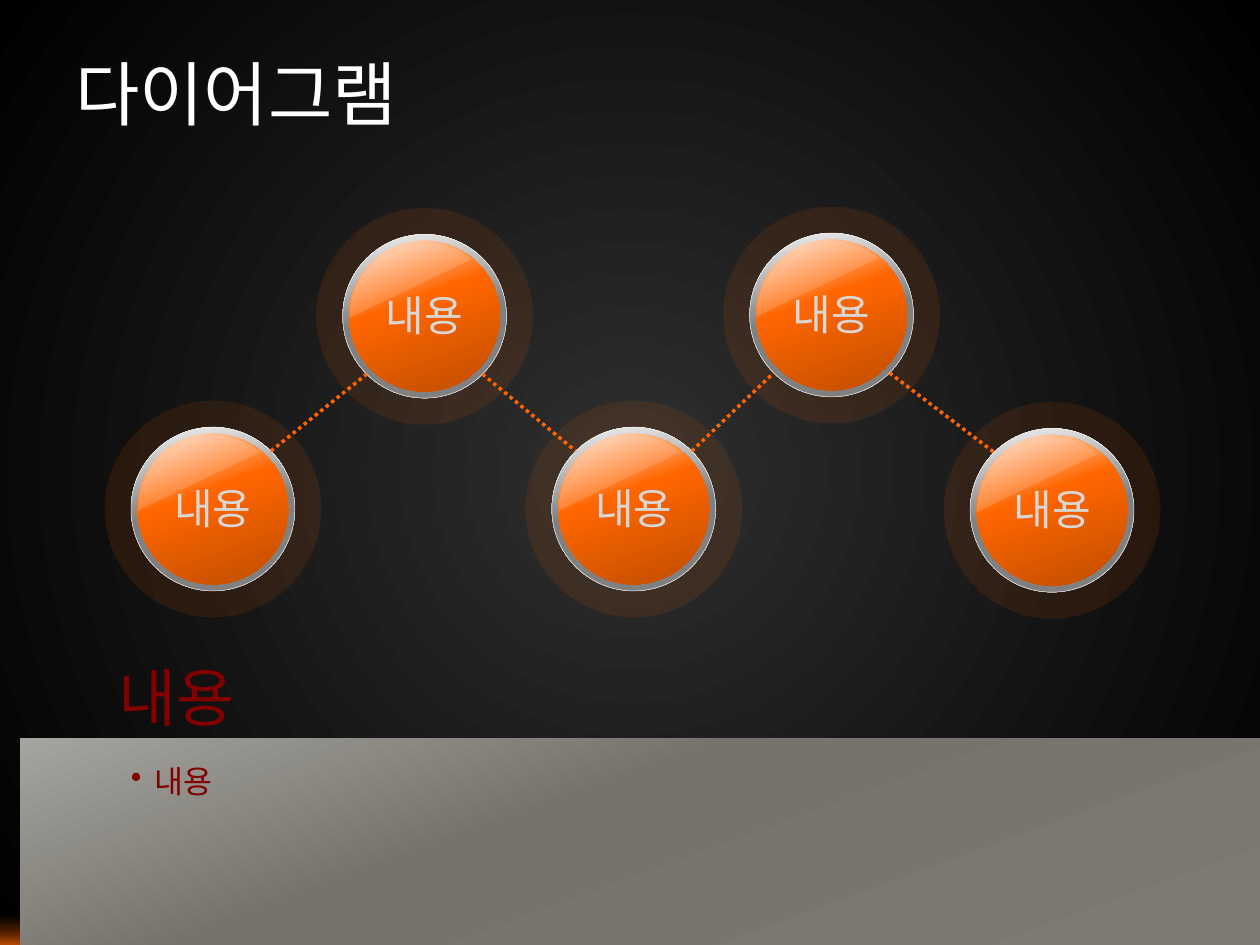
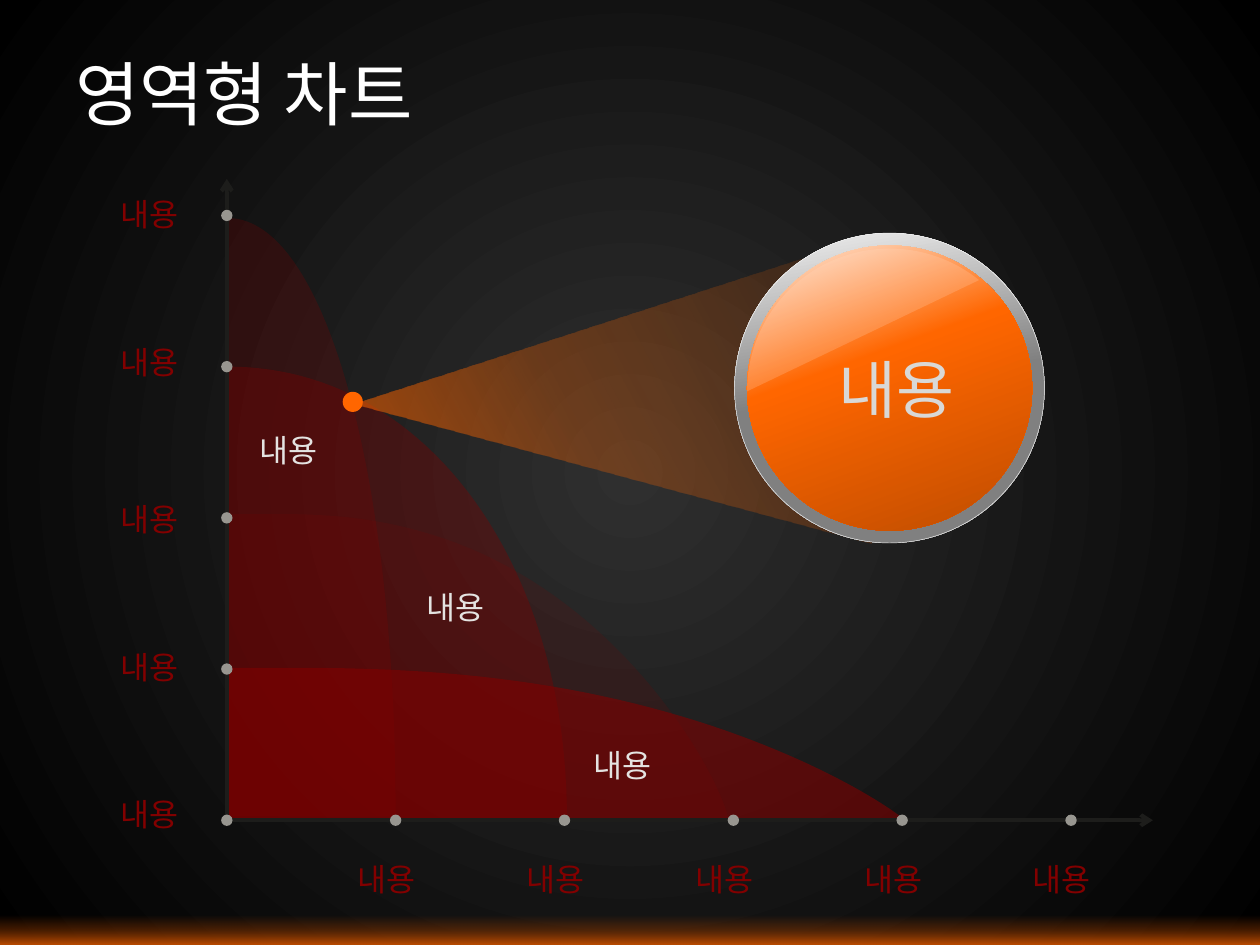
import math

import pptx
import pptx.dml.color
import pptx.enum.dml
import pptx.enum.shapes
import pptx.enum.text
import pptx.oxml
import pptx.oxml.ns
import pptx.util

Inches = pptx.util.Inches
Pt = pptx.util.Pt
RGB = pptx.dml.color.RGBColor
Kind = pptx.enum.shapes.MSO_SHAPE
Anchor = pptx.enum.text.MSO_ANCHOR
Align = pptx.enum.text.PP_ALIGN
Fit = pptx.enum.text.MSO_AUTO_SIZE
qn = pptx.oxml.ns.qn

FONT = "Arial"
WORD = "내용"
WHITE = RGB(0xFF, 0xFF, 0xFF)
BLACK = RGB(0, 0, 0)
COAL = RGB(0x2F, 0x2F, 0x2F)
AXIS = RGB(0x1D, 0x1D, 0x1B)
ORANGE = RGB(0xFF, 0x66, 0x00)
RUST = RGB(0xBF, 0x4D, 0x00)
BROWN = RGB(0x80, 0x33, 0x00)
CREAM = RGB(0xFF, 0xF0, 0xE6)
PEACH = RGB(0xFF, 0xE0, 0xCC)
SILVER = RGB(0xF2, 0xF2, 0xF2)
STEEL = RGB(0x80, 0x80, 0x80)
WINE = RGB(0x82, 0x00, 0x00)
DOT = RGB(0x98, 0x96, 0x90)
PALE = RGB(0xD9, 0xD8, 0xD6)
LIGHT = RGB(0xE4, 0xE3, 0xE1)

GLOW = [(0, BROWN, 0), (50, BROWN, 54), (100, RUST, 100)]
RING = [(0, SILVER, 100), (50, STEEL, 100), (100, STEEL, 100)]
BALL = [(0, CREAM, 100), (40, ORANGE, 100), (100, RUST, 100)]
BEAM = [(0, ORANGE, 75), (40, ORANGE, 30), (100, ORANGE, 0)]
PANEL = [(0, RGB(0xA6, 0xA4, 0x9F), 100), (40, RGB(0x75, 0x73, 0x6C), 100),
         (100, RGB(0x7C, 0x7A, 0x73), 100)]
NIGHT = [(0, COAL, 100), (100, BLACK, 100)]
CIRCLE = ('<a:path path="circle"><a:fillToRect l="50000" t="50000" '
          'r="50000" b="50000"/></a:path>')


def blend(owner, props, stops, way):
    """Replace the fill of a properties element by a gradient."""
    owner.fill.background()
    marks = "".join(
        f'<a:gs pos="{pos * 1000}"><a:srgbClr val="{tint}">'
        f'<a:alpha val="{alpha * 1000}"/></a:srgbClr></a:gs>'
        for pos, tint, alpha in stops)
    node = pptx.oxml.parse_xml(
        f'<a:gradFill {pptx.oxml.ns.nsdecls("a")} rotWithShape="1">'
        f'<a:gsLst>{marks}</a:gsLst>{way}</a:gradFill>')
    props.replace(props.find(qn("a:noFill")), node)


def paint(shape, fill, alpha=100, angle=0):
    """Give a shape a plain or gradient fill without line or shadow."""
    shape.shadow.inherit = False
    shape.line.fill.background()
    if isinstance(fill, list):
        way = f'<a:lin ang="{angle * 60000}" scaled="0"/>'
        blend(shape, shape.element.spPr, fill, way)
        return shape
    shape.fill.solid()
    shape.fill.fore_color.rgb = fill
    if alpha < 100:
        tint = shape.element.spPr.find(qn("a:solidFill"))[0]
        tint.append(tint.makeelement(qn("a:alpha"), {"val": str(alpha * 1000)}))
    return shape


def draw(slide, kind, left, top, width, height, fill, **look):
    """Add a painted preset shape."""
    shape = slide.shapes.add_shape(
        kind, Inches(left), Inches(top), Inches(width), Inches(height))
    return paint(shape, fill, **look)


def round_dot(slide, x, y, size, fill, **look):
    """Add a circle around a centre."""
    return draw(slide, Kind.OVAL, x - size / 2, y - size / 2, size, size, fill, **look)


def trace(slide, points):
    """Add a closed outline through points in inches."""
    spots = [(Inches(x), Inches(y)) for x, y in points]
    pen = slide.shapes.build_freeform(*spots[0])
    pen.add_line_segments(spots[1:], close=True)
    return pen.convert_to_shape()


def write(slide, text, left, top, width, height, size, tint, wrap=True,
          align=None, anchor=Anchor.TOP, grow=True, inset=None, bullet=False):
    """Add a text box with one line of text."""
    box = slide.shapes.add_textbox(
        Inches(left), Inches(top), Inches(width), Inches(height))
    frame = box.text_frame
    frame.text = text
    frame.word_wrap = wrap
    frame.vertical_anchor = anchor
    frame.auto_size = Fit.SHAPE_TO_FIT_TEXT if grow else Fit.NONE
    if inset is not None:
        frame.margin_left = frame.margin_right = Inches(inset)
        frame.margin_top = frame.margin_bottom = Inches(inset)
    para = frame.paragraphs[0]
    para.alignment = align
    if bullet:
        props = para._p.get_or_add_pPr()
        props.set("marL", str(Inches(0.19)))
        props.set("indent", str(-Inches(0.19)))
        props.append(props.makeelement(qn("a:buChar"), {"char": "•"}))
    font = para.runs[0].font
    font.name, font.size, font.color.rgb = FONT, Pt(size), tint


def join(slide, start, end, tint, width, dash=None, head=False):
    """Add a straight line, dotted or with an arrowhead at its start."""
    line = slide.shapes.add_connector(
        pptx.enum.shapes.MSO_CONNECTOR.STRAIGHT, *map(Inches, start + end))
    line.line.color.rgb = tint
    line.line.width = Pt(width)
    if dash:
        line.line.dash_style = dash
    props = line.element.spPr
    if head:
        edge = props.find(qn("a:ln"))
        edge.append(edge.makeelement(qn("a:headEnd"), {"type": "arrow"}))
    props.append(props.makeelement(qn("a:effectLst"), {}))


def disc(slide, x, y, size):
    """Draw a glossy ball in a metal ring around a centre."""
    ring = round_dot(slide, x, y, size, RING, angle=80)
    ring.line.color.rgb = SILVER
    ring.line.width = Pt(0.25)
    core = size * 0.92
    round_dot(slide, x, y, core, BALL, angle=70)
    gloss = draw(slide, Kind.CHORD, x - core / 2, y - core / 2 + size * 0.01,
                 core, core, PEACH, alpha=20)
    gloss.adjustments[0], gloss.adjustments[1] = 53.946, 131.298
    gloss.rotation = 90


def base(deck, title):
    """Add a slide with the dark backdrop, bottom glow and title."""
    slide = deck.slides.add_slide(deck.slide_layouts[6])
    back = slide.background
    back.fill.background()
    blend(back, slide.element.find(".//" + qn("p:bgPr")), NIGHT, CIRCLE)
    draw(slide, Kind.RECTANGLE, 0, 7.27, 10, 0.23, GLOW, angle=90)
    write(slide, title, 0.5, 0.3, 9, 0.87, 40, WHITE,
          anchor=Anchor.MIDDLE, grow=False)
    return slide


def node(slide, x, y):
    """Draw a labelled ball with a halo around a centre."""
    round_dot(slide, x, y, 1.72, ORANGE, alpha=10)
    disc(slide, x, y, 1.3)
    write(slide, WORD, x - 0.58, y - 0.26, 1.16, 0.5, 24, PALE, align=Align.CENTER)


def chain(slide, spots):
    """Draw the balls and the dotted lines between neighbours."""
    for x, y in spots:
        node(slide, x, y)
    gap = 0.46
    for (x, y), (u, v) in zip(spots, spots[1:]):
        rise = math.copysign(gap, v - y)
        join(slide, (x + gap, y + rise), (u - gap, v - rise), ORANGE, 2,
             dash=pptx.enum.dml.MSO_LINE.ROUND_DOT)


def notes(slide, left, top):
    """Write the heading and its bullet below the chain."""
    write(slide, WORD, left, top + 0.77, 7.96, 1.3, 18, WINE, bullet=True)
    write(slide, WORD, left, top, 8.12, 0.6, 36, WINE, anchor=Anchor.BOTTOM, inset=0)


def area(slide, peak, right, top, floor, bend, drop, alpha):
    """Draw a falling area from the vertical axis to the right end."""
    steps = 50
    points = [(1.8, floor), (1.8, top)]
    for i in range(steps + 1):
        u = math.sin(math.pi / 2 * i / steps)
        fall = (1 - u ** bend) ** drop
        points.append((peak + (right - peak) * u, floor - (floor - top) * fall))
    paint(trace(slide, points), WINE, alpha=alpha)


def axes(slide, x, y, across, down):
    """Draw both axes with their ticks and labels from the origin."""
    join(slide, (x, 1.42), (x, y), AXIS, 2.25, head=True)
    join(slide, (9.15, y), (x, y), AXIS, 2.25, head=True)
    ticks = [(x, y - i * down) for i in range(5)]
    ticks += [(x + i * across, y) for i in range(1, 6)]
    for u, v in ticks:
        round_dot(slide, u, v, 0.09, DOT)
    spots = [(x - 0.94, v) for v in (1.5, 2.67, 3.92, 5.09, 6.26)]
    spots += [(x - 0.4 + i * across, y + 0.27) for i in range(1, 6)]
    for u, v in spots:
        write(slide, WORD, u, v, 0.7, 0.4, 18, WINE, wrap=False)


def beam(slide, points, x, y, turn):
    """Draw the light cone, turned so its gradient starts at the tip."""
    cos, sin = math.cos(math.radians(turn)), math.sin(math.radians(turn))
    flat = [(x + (u - x) * cos + (v - y) * sin, y - (u - x) * sin + (v - y) * cos)
            for u, v in points]
    paint(trace(slide, flat), BEAM, angle=90).rotation = turn


def zoom(slide, x, y):
    """Draw the cone and the large ball that enlarge one point."""
    beam(slide, [(6.91, 4.31), (x, y), (6.9, 1.87)], 5.36, 3.49, 241.9)
    disc(slide, x + 4.26, y - 0.12, 2.46)
    round_dot(slide, x, y - 0.01, 0.16, ORANGE)
    write(slide, WORD, x + 3.76, y - 0.47, 1.17, 0.71, 36, PALE,
          wrap=False, anchor=Anchor.MIDDLE)


def diagram(deck):
    """Build the chain diagram slide."""
    slide = base(deck, "다이어그램")
    draw(slide, Kind.RECTANGLE, 0.16, 5.86, 9.84, 1.64, PANEL, angle=70)
    chain(slide, [(1.69, 4.04), (3.37, 2.51), (5.03, 4.04), (6.6, 2.5), (8.35, 4.05)])
    notes(slide, 0.94, 5.23)


def chart(deck):
    """Build the area chart slide."""
    slide = base(deck, "영역형 차트")
    area(slide, 2.2, 5.78, 4.08, 6.5, 2.32, 0.8, 15)
    area(slide, 1.8, 4.5, 2.91, 6.52, 2.08, 0.48, 35)
    area(slide, 1.8, 3.14, 1.73, 6.48, 2.08, 0.48, 24)
    area(slide, 2.3, 7.18, 5.3, 6.51, 2.35, 0.9, 58)
    axes(slide, 1.8, 6.51, 1.34, 1.2)
    for x, y in [(1.96, 3.37), (3.29, 4.62), (4.61, 5.87)]:
        write(slide, WORD, x, y, 0.7, 0.4, 18, LIGHT, wrap=False)
    zoom(slide, 2.8, 3.2)


def main():
    """Build and save the deck."""
    deck = pptx.Presentation()
    deck.slide_width, deck.slide_height = Inches(10), Inches(7.5)
    diagram(deck)
    chart(deck)
    deck.save("out.pptx")


if __name__ == "__main__":
    main()
